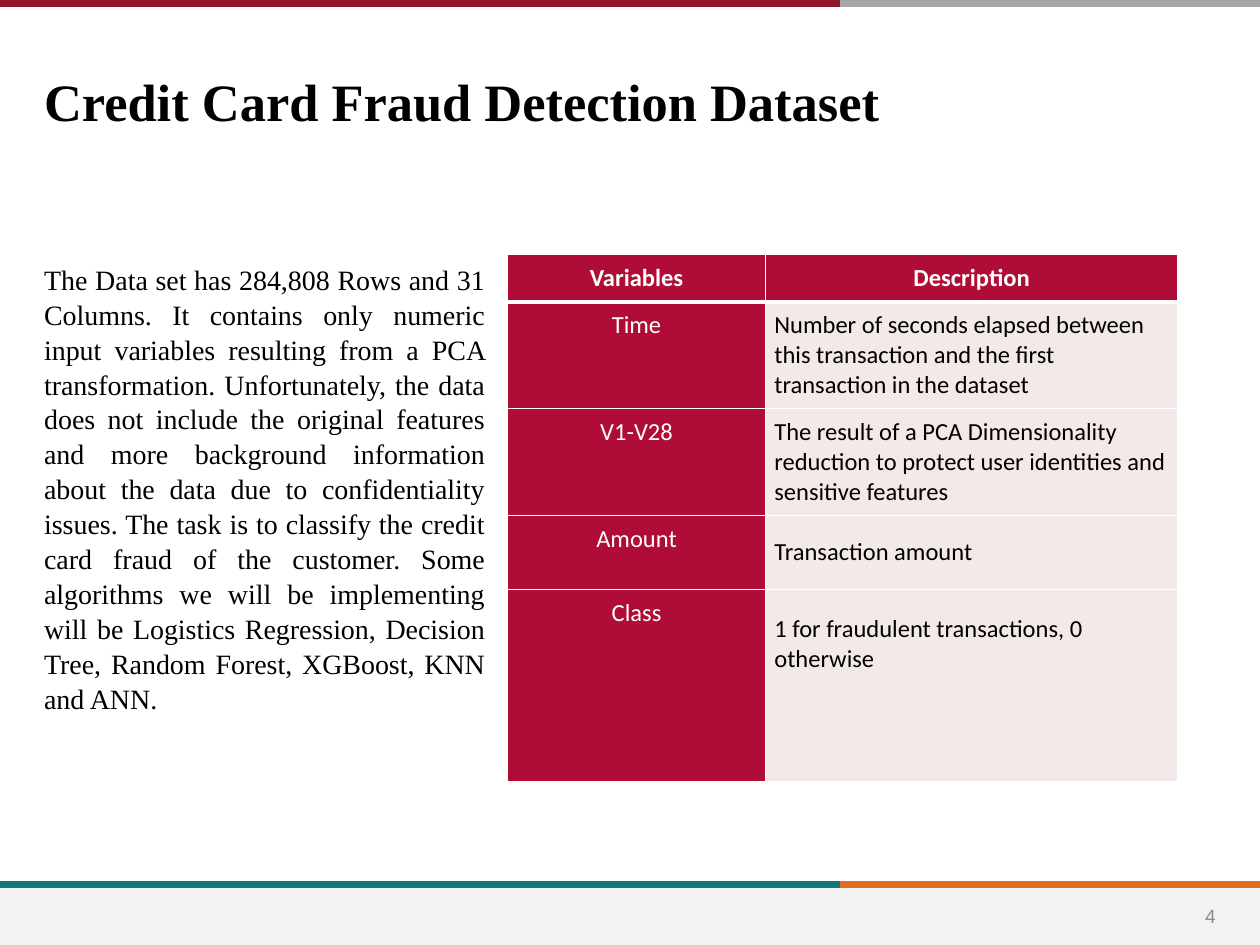
from dataclasses import dataclass

from lxml.etree import SubElement
from pptx import Presentation
from pptx.dml.color import RGBColor
from pptx.enum.shapes import MSO_CONNECTOR as CONN, MSO_SHAPE as SHAPE
from pptx.enum.text import MSO_ANCHOR as ANCHOR, PP_ALIGN as ALIGN
from pptx.oxml.ns import qn
from pptx.util import Pt

SERIF, SANS = "Times New Roman", "Calibri"
WIDTH, HEIGHT, SPLIT = 720, 540, 480
CRIMSON, BLUSH, WHITE, BLACK = "AF0D37", "F4E9E9", "FFFFFF", "000000"


@dataclass
class Rule:
    x1: float
    x2: float
    y: float
    color: str


@dataclass
class Row:
    variable: str
    description: str
    height: float


RULES = [
    Rule(SPLIT, WIDTH, 505.5, "DF7023"),
    Rule(0, SPLIT, 505.5, "0F787D"),
    Rule(SPLIT, WIDTH, 2, "A6A6A6"),
    Rule(0, SPLIT, 2, "90152A"),
]

ROWS = [
    Row("Variables", "Description", 27),
    Row("Time", "Number of seconds elapsed between this transaction and the first "
        "transaction in the dataset", 61),
    Row("V1-V28", "The result of a PCA Dimensionality reduction to protect user "
        "identities and sensitive features", 61),
    Row("Amount", "Transaction amount", 42.5),
    Row("Class", "1 for fraudulent transactions, 0 otherwise", 110),
]

SUMMARY = (
    "The Data set has 284,808 Rows and 31 Columns. It contains only numeric input "
    "variables resulting from a PCA transformation. Unfortunately, the data does not "
    "include the original features and more background information about the data due "
    "to confidentiality issues. The task is to classify the credit card fraud of the "
    "customer. Some algorithms we will be implementing will be Logistics Regression, "
    "Decision Tree, Random Forest, XGBoost, KNN and ANN."
)


def rgb(color: str) -> RGBColor:
    return RGBColor.from_string(color)


def write(tf, text: str, size: float, font: str, color: str, align, bold=False):
    tf.text = text
    p = tf.paragraphs[0]
    p.alignment = align
    r = p.runs[0]
    r.font.size, r.font.name, r.font.bold = Pt(size), font, bold
    r.font.color.rgb = rgb(color)
    return p


def place(sp, x: float, y: float, w: float, h: float) -> None:
    sp.left, sp.top, sp.width, sp.height = Pt(x), Pt(y), Pt(w), Pt(h)


def draw_rule(s, rule: Rule) -> None:
    sp = s.shapes.add_connector(CONN.STRAIGHT, Pt(rule.x1), Pt(rule.y), Pt(rule.x2), Pt(rule.y))
    sp.line.color.rgb = rgb(rule.color)
    sp.line.width = Pt(4)
    SubElement(sp.element.spPr, qn("a:effectLst"))


def set_borders(cell, top: float, bottom: float) -> None:
    tc_pr = cell._tc.get_or_add_tcPr()
    for side, width in (("L", 1), ("R", 1), ("T", top), ("B", bottom)):
        ln = SubElement(tc_pr, qn(f"a:ln{side}"), w=str(Pt(width)))
        SubElement(SubElement(ln, qn("a:solidFill")), qn("a:srgbClr"), val=WHITE)


def draw_cell(cell, text: str, row: int, col: int) -> None:
    dark = row == 0 or col == 0
    set_borders(cell, 3 if row == 1 else 1, 3 if row == 0 else 1)
    cell.fill.solid()
    cell.fill.fore_color.rgb = rgb(CRIMSON if dark else BLUSH)
    cell.margin_left = cell.margin_right = cell.margin_top = cell.margin_bottom = Pt(5)
    cell.vertical_anchor = ANCHOR.MIDDLE if col else ANCHOR.TOP
    write(cell.text_frame, text, 14, SANS, WHITE if dark else BLACK,
          ALIGN.CENTER if dark else ALIGN.LEFT, row == 0)


def draw_table(s, rows: list[Row]) -> None:
    widths = (147.5, 235.5)
    height = sum(row.height for row in rows)
    table = s.shapes.add_table(len(rows), 2, Pt(290), Pt(145.5), Pt(sum(widths)), Pt(height)).table
    table.horz_banding = False
    for column, width in zip(table.columns, widths):
        column.width = Pt(width)
    for i, row in enumerate(rows):
        table.rows[i].height = Pt(row.height)
        for j, text in enumerate((row.variable, row.description)):
            draw_cell(table.cell(i, j), text, i, j)
    last = table.cell(len(rows) - 1, 1)
    last.vertical_anchor = ANCHOR.TOP
    last.margin_top = Pt(14)


def main() -> None:
    prs = Presentation()
    prs.slide_width, prs.slide_height = Pt(WIDTH), Pt(HEIGHT)
    s = prs.slides.add_slide(prs.slide_layouts[1])

    title, body = s.placeholders
    place(title, 18, 33, 575, 42.5)
    tf = title.text_frame
    tf.vertical_anchor = ANCHOR.BOTTOM
    tf.margin_bottom = 0
    write(tf, "Credit Card Fraud Detection Dataset", 30, SERIF, BLACK, ALIGN.LEFT, True)

    place(body, 18, 145.5, 266.5, 309.5)
    p = write(body.text_frame, SUMMARY, 16, SERIF, BLACK, ALIGN.JUSTIFY)
    p.line_spacing, p.space_before, p.space_after = 1.04, Pt(0), Pt(12)
    p_pr = p._p.get_or_add_pPr()
    p_pr.set("marL", "0")
    p_pr.set("indent", "0")
    SubElement(p_pr, qn("a:buNone"))

    for rule in RULES:
        draw_rule(s, rule)
    footer = s.shapes.add_shape(SHAPE.RECTANGLE, 0, Pt(507.5), Pt(WIDTH), Pt(32.5))
    footer.shadow.inherit = False
    footer.fill.solid()
    footer.fill.fore_color.rgb = rgb("F2F2F2")
    footer.line.fill.background()

    number = s.shapes.add_textbox(Pt(673), Pt(509), Pt(37.5), Pt(29))
    number.text_frame.word_wrap = True
    number.text_frame.vertical_anchor = ANCHOR.MIDDLE
    write(number.text_frame, "4", 11, "Arial", "8C8C8C", ALIGN.CENTER)

    draw_table(s, ROWS)
    prs.save("out.pptx")


if __name__ == "__main__":
    main()
